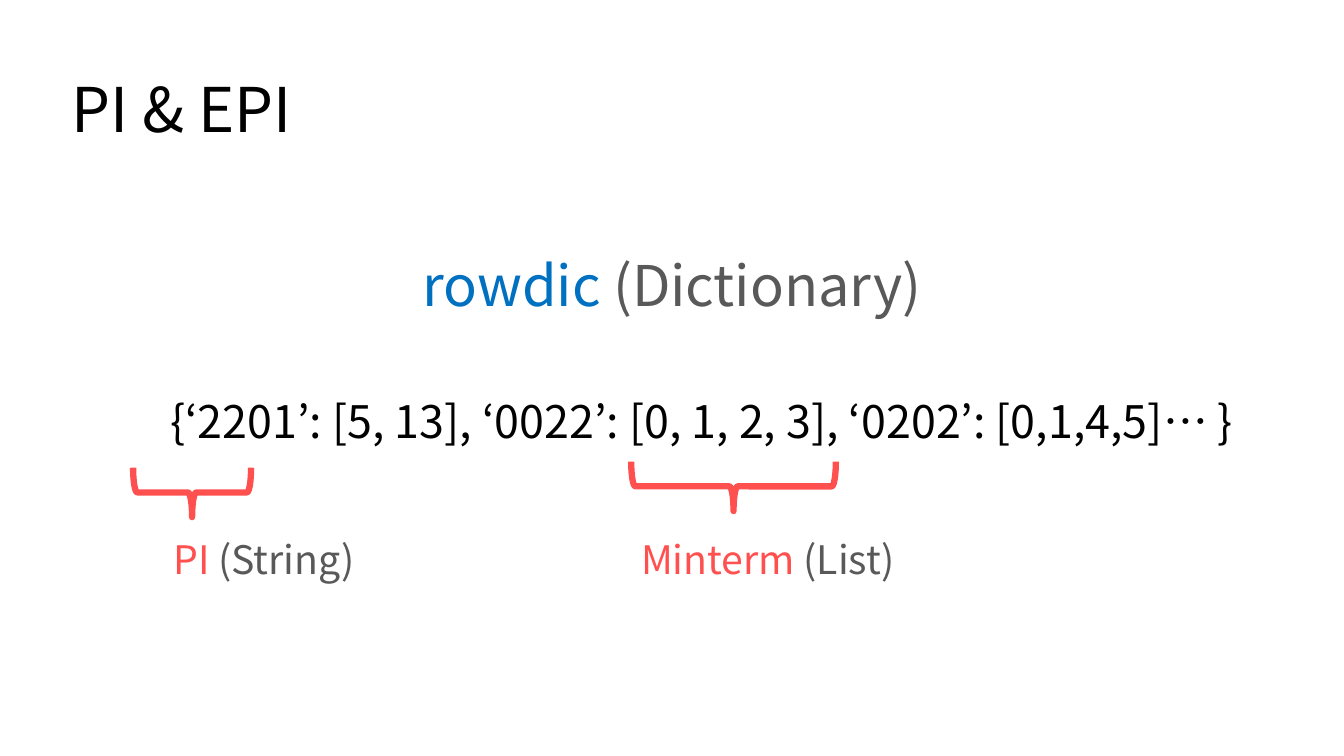
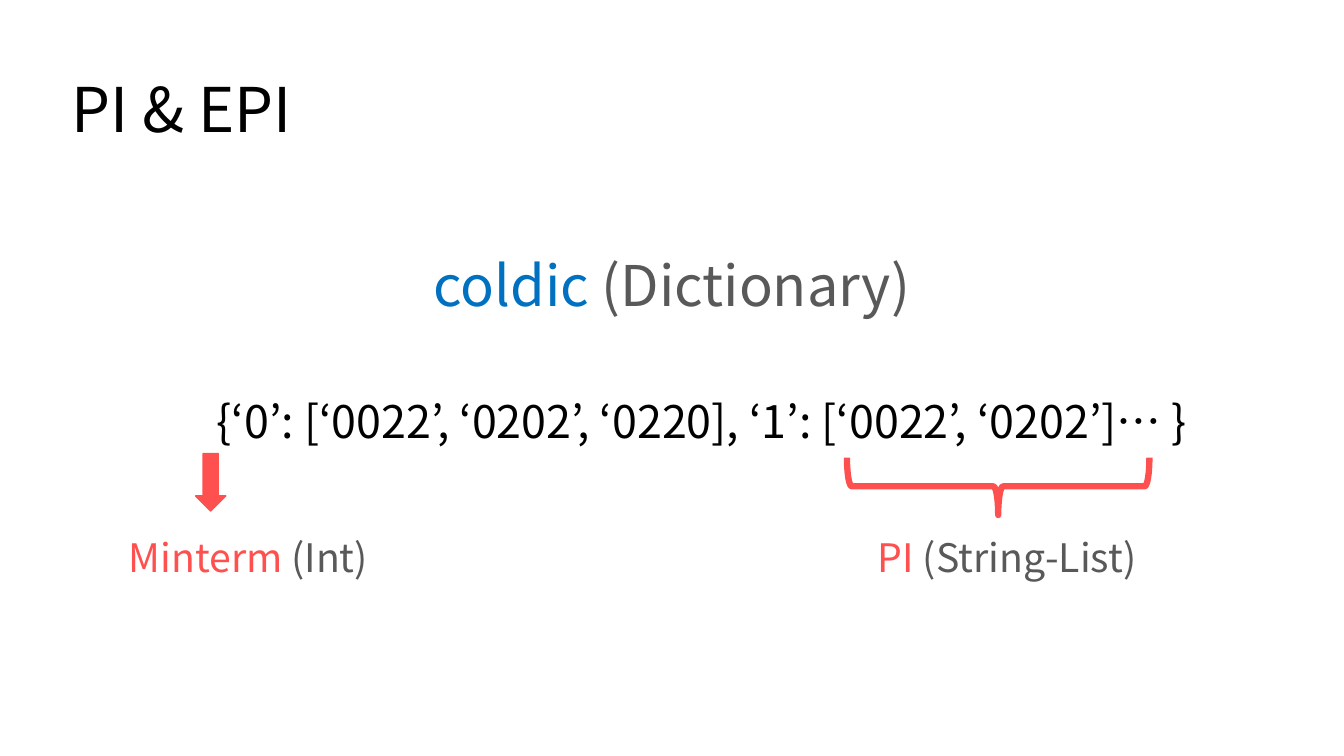
from dataclasses import dataclass

from lxml import etree
from pptx import Presentation, util as u
from pptx.dml.color import RGBColor
from pptx.enum import shapes, text
from pptx.oxml import ns
from pptx.util import Inches


@dataclass(frozen=True)
class Theme:
    font: str = "Noto Sans CJK KR"
    black: str = "000000"
    blue: str = "0070C0"
    gray: str = "595959"
    red: str = "FF5050"
    title_size: int = 44
    heading_size: int = 40
    example_size: int = 32
    label_size: int = 28
    brace_width: float = 4.5
    arrow_width: float = 1


@dataclass(frozen=True)
class Box:
    left: float
    top: float
    width: float
    height: float

    def lengths(self):
        return tuple(Inches(n) for n in (self.left, self.top, self.width, self.height))


@dataclass(frozen=True)
class Callout:
    """A marker under part of the example, with the term and type it stands for."""
    term: str
    kind: str
    label: Box
    marker: Box
    is_arrow: bool = False


@dataclass(frozen=True)
class DictionarySlide:
    name: str
    example: str
    callouts: tuple[Callout, ...]


THEME = Theme()
TITLE = "PI & EPI"
TITLE_BOX = Box(0.61, 0.39, 11.5, 1.45)
HEADING_BOX = Box(4.08, 2.44, 5.17, 0.76)
EXAMPLE_BOX = Box(0.79, 3.86, 12.35, 0.62)

SLIDES = (
    DictionarySlide(
        "rowdic",
        "{‘2201’: [5, 13], ‘0022’: [0, 1, 2, 3], ‘0202’: [0,1,4,5]… }",
        (
            Callout("Minterm", "List", Box(6.26, 5.26, 2.89, 0.57),
                    Box(6.26, 4.58, 2.03, 0.49)),
            Callout("PI", "String", Box(1.62, 5.26, 2.12, 0.57),
                    Box(1.32, 4.64, 1.17, 0.49)),
        ),
    ),
    DictionarySlide(
        "coldic",
        "{‘0’: [‘0022’, ‘0202’, ‘0220], ‘1’: [‘0022’, ‘0202’]… }",
        (
            Callout("Minterm", "Int", Box(1.18, 5.24, 2.7, 0.56),
                    Box(1.94, 4.5, 0.3, 0.57), is_arrow=True),
            Callout("PI", "String-List", Box(8.61, 5.24, 2.96, 0.56),
                    Box(8.4, 4.54, 3, 0.57)),
        ),
    ),
)


def add_run(paragraph, words: str, size: int, color: str) -> None:
    run = paragraph.add_run()
    run.text = words
    run.font.name = THEME.font
    run.font.size = u.Pt(size)
    run.font.color.rgb = RGBColor.from_string(color)
    east_asian = etree.SubElement(run.font._element, ns.qn("a:ea"))
    east_asian.set("typeface", THEME.font)


def add_title(slide) -> None:
    title = slide.shapes.title
    title.left, title.top, title.width, title.height = TITLE_BOX.lengths()
    frame = title.text_frame
    frame.vertical_anchor = text.MSO_ANCHOR.MIDDLE
    frame.auto_size = text.MSO_AUTO_SIZE.NONE
    paragraph = frame.paragraphs[0]
    paragraph.alignment = text.PP_ALIGN.LEFT
    paragraph.line_spacing = 0.9
    add_run(paragraph, TITLE, THEME.title_size, THEME.black)


def add_text(slide, box: Box, size: int, runs: list[tuple[str, str]],
             centered: bool = True) -> None:
    """Add one line of (words, color) runs; only centered lines wrap."""
    frame = slide.shapes.add_textbox(*box.lengths()).text_frame
    frame.word_wrap = centered
    frame.auto_size = text.MSO_AUTO_SIZE.SHAPE_TO_FIT_TEXT
    paragraph = frame.paragraphs[0]
    paragraph.alignment = text.PP_ALIGN.CENTER if centered else text.PP_ALIGN.LEFT
    for words, color in runs:
        add_run(paragraph, words, size, color)


def add_marker(slide, preset, box: Box, line_width: float):
    marker = slide.shapes.add_shape(preset, *box.lengths())
    marker.shadow.inherit = False
    marker.line.color.rgb = RGBColor.from_string(THEME.red)
    marker.line.width = u.Pt(line_width)
    return marker


def add_arrow(slide, box: Box) -> None:
    arrow = add_marker(slide, shapes.MSO_SHAPE.DOWN_ARROW, box, THEME.arrow_width)
    arrow.fill.solid()
    arrow.fill.fore_color.rgb = RGBColor.from_string(THEME.red)


def add_brace(slide, box: Box) -> None:
    """Turn a right brace by 90 degrees so that it fills the box, pointing down."""
    inset = (box.width - box.height) / 2
    upright = Box(box.left + inset, box.top - inset, box.height, box.width)
    brace = add_marker(slide, shapes.MSO_SHAPE.RIGHT_BRACE, upright, THEME.brace_width)
    brace.rotation = 90
    brace.fill.background()


def add_callout(slide, callout: Callout) -> None:
    draw_marker = add_arrow if callout.is_arrow else add_brace
    draw_marker(slide, callout.marker)
    add_text(slide, callout.label, THEME.label_size,
             [(f"{callout.term} ", THEME.red), (f"({callout.kind})", THEME.gray)],
             centered=False)


def add_dictionary_slide(prs, content: DictionarySlide) -> None:
    slide = prs.slides.add_slide(prs.slide_layouts.get_by_name("Title Only"))
    add_title(slide)
    add_text(slide, HEADING_BOX, THEME.heading_size,
             [(f"{content.name} ", THEME.blue), ("(Dictionary)", THEME.gray)])
    add_text(slide, EXAMPLE_BOX, THEME.example_size, [(content.example, THEME.black)])
    for callout in content.callouts:
        add_callout(slide, callout)


def main() -> None:
    prs = Presentation()
    prs.slide_width, prs.slide_height = Inches(13.33), Inches(7.5)
    for content in SLIDES:
        add_dictionary_slide(prs, content)
    prs.save("out.pptx")


if __name__ == "__main__":
    main()
